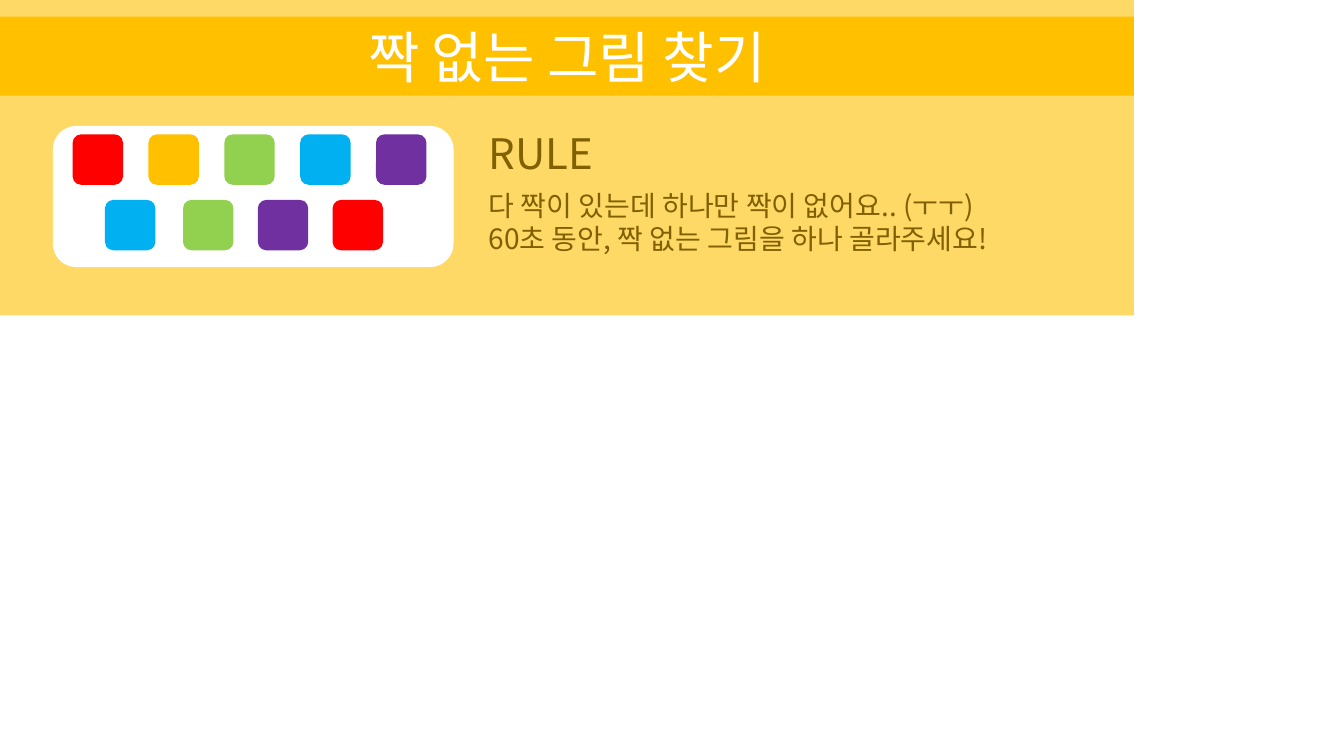
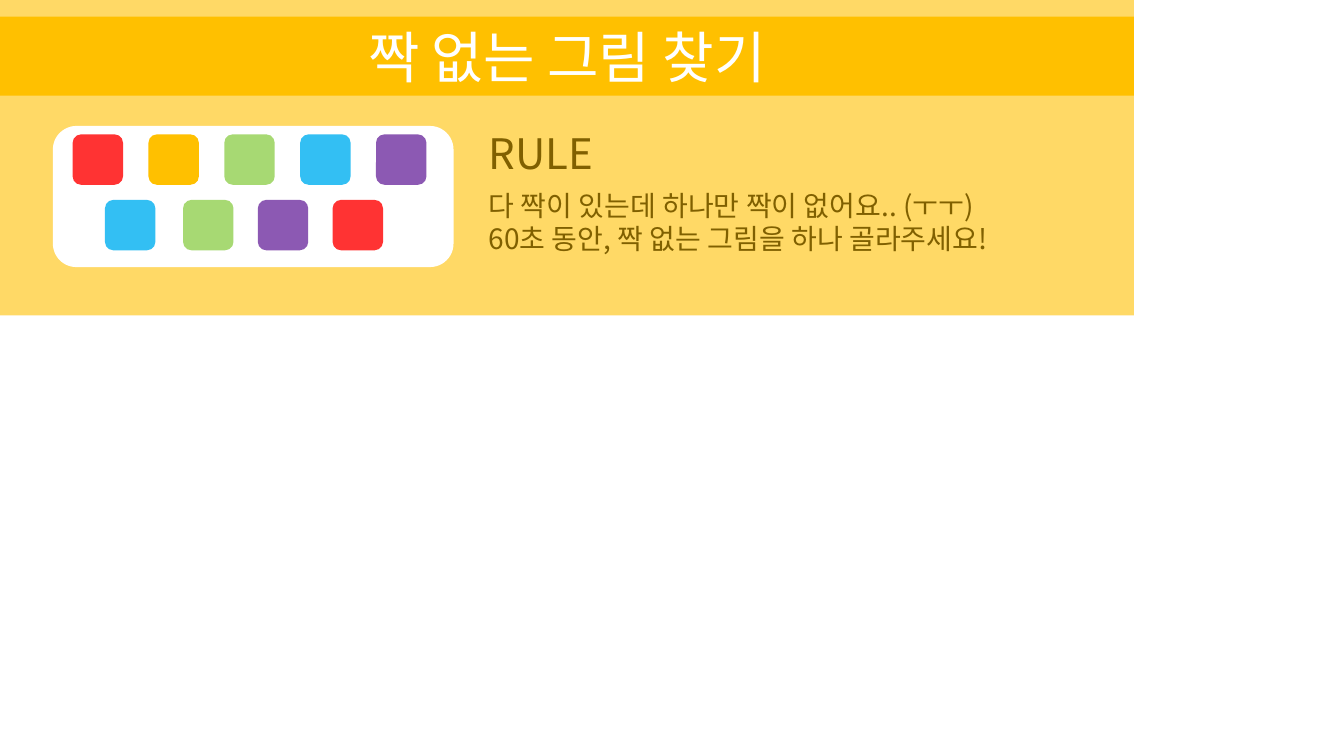
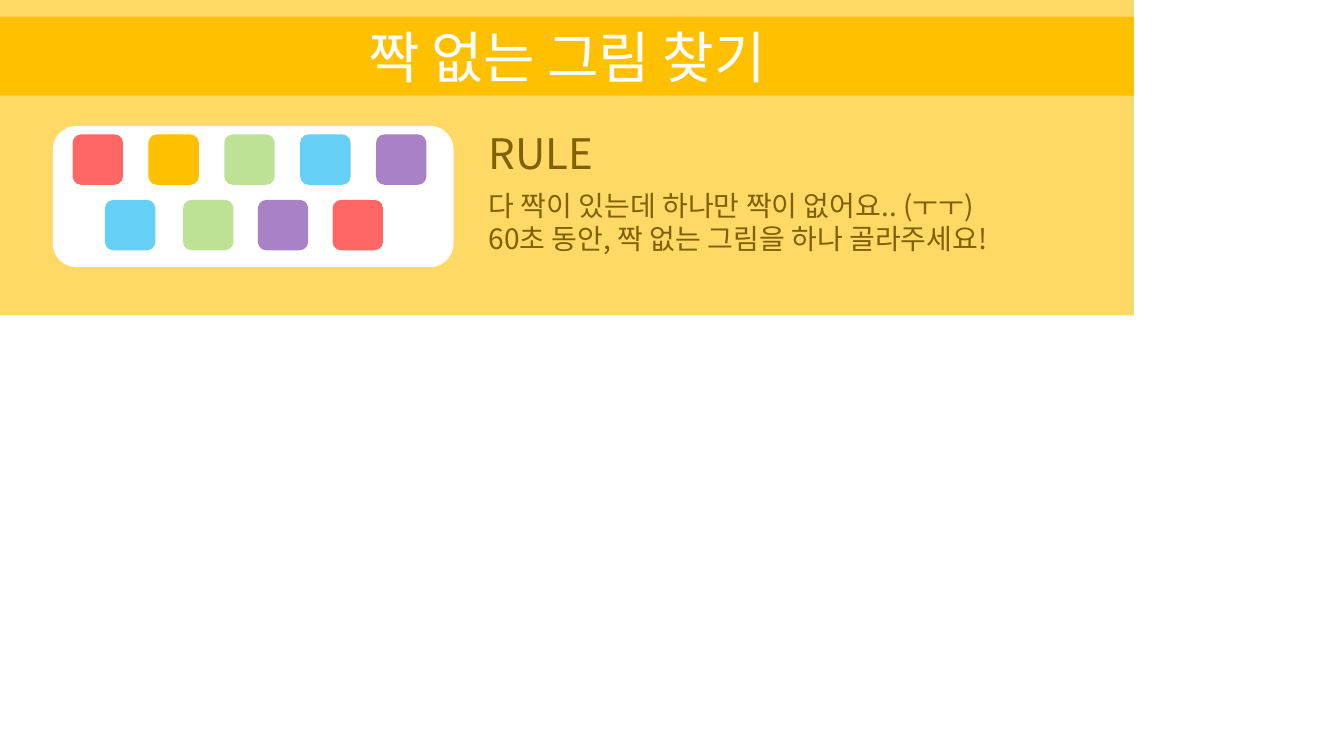
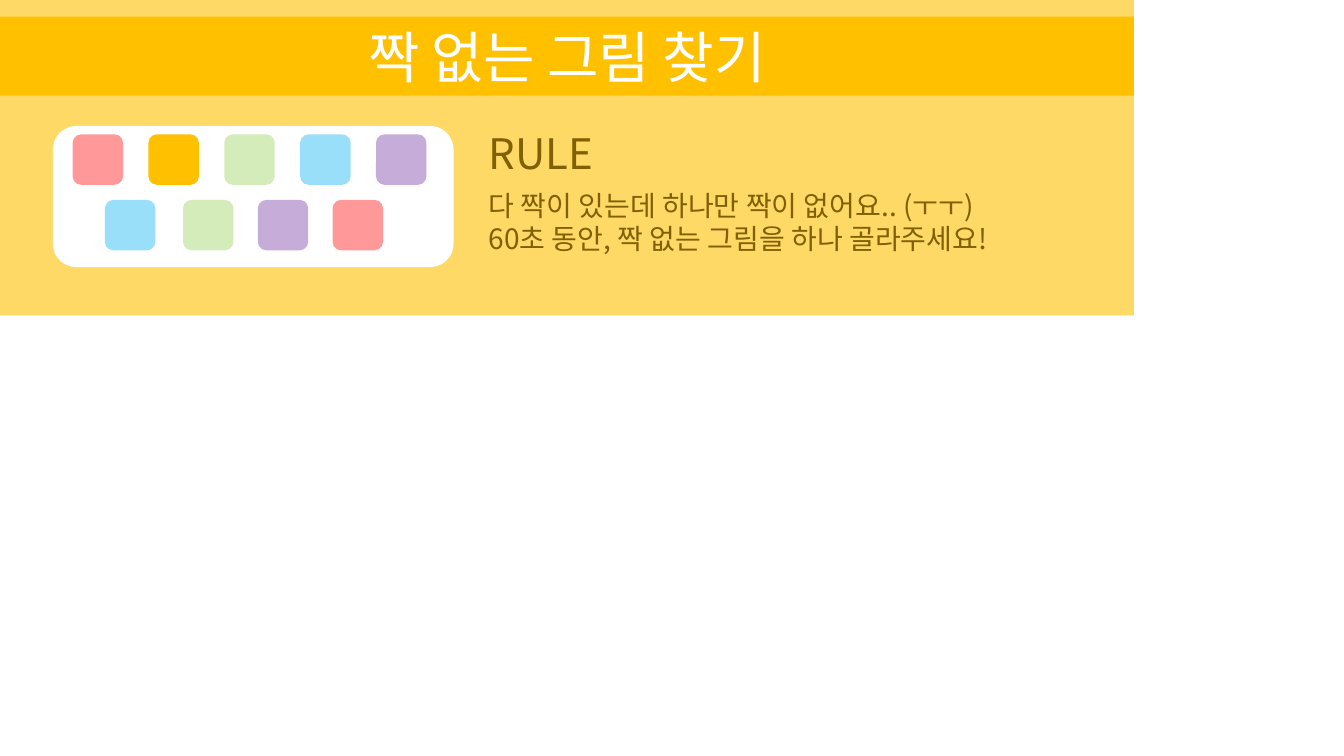
from lxml import etree
from pptx import Presentation
from pptx import util as u
from pptx.dml import color
from pptx.enum import shapes, text
from pptx.oxml import ns

COLS, ROWS = 160, 90
HUES = {
    "sand": "FFD966", "gold": "FFC000", "brown": "806000", "white": "FFFFFF",
    "red": "FF0000", "green": "92D050", "blue": "00B0F0", "plum": "7030A0",
}
FONT = "Noto Sans CJK KR"
RECT = shapes.MSO_SHAPE.RECTANGLE
ROUND = shapes.MSO_SHAPE.ROUNDED_RECTANGLE
MIDDLE = {"word_wrap": True, "vertical_anchor": text.MSO_ANCHOR.MIDDLE}
GROW = {"word_wrap": True, "auto_size": text.MSO_AUTO_SIZE.SHAPE_TO_FIT_TEXT}
TOP = ["red", "gold", "green", "blue", "plum"]
LOW = [("blue", 12.5), ("green", 21.8), ("plum", 30.7), ("red", 39.6)]
RULES = ["다 짝이 있는데 하나만 짝이 없어요.. (ㅜㅜ)",
         "60초 동안, 짝 없는 그림을 하나 골라주세요!"]


class Deck:
    """Holds the style and the current slide, and draws on its grid."""

    def __init__(self):
        self.show = Presentation()
        self.show.slide_width = u.Inches(13.333)
        self.show.slide_height = u.Inches(7.5)
        self.page = None

    def start(self):
        self.page = self.show.slides.add_slide(self.show.slide_layouts[6])

    def place(self, col, row, wide, high):
        x, y = self.show.slide_width / COLS, self.show.slide_height / ROWS
        return [round(n) for n in (col * x, row * y, wide * x, high * y)]

    def shape(self, kind, box, hue, alpha=100):
        item = self.page.shapes.add_shape(kind, *self.place(*box))
        item.shadow.inherit = False
        item.line.fill.background()
        item.fill.solid()
        item.fill.fore_color.rgb = color.RGBColor.from_string(HUES[hue])
        if alpha < 100:
            tint = item.element.spPr.find(".//" + ns.qn("a:srgbClr"))
            etree.SubElement(tint, ns.qn("a:alpha"), val=str(alpha * 1000))
        return item

    def words(self, item, lines, size, hue, align, frame):
        body = item.text_frame
        for key, value in frame.items():
            setattr(body, key, value)
        body.text = "\n".join(lines)
        for para in body.paragraphs:
            para.alignment = align
            for run in para.runs:
                run.font.color.rgb = color.RGBColor.from_string(HUES[hue])
                for key, value in {"size": u.Pt(size), "name": FONT}.items():
                    setattr(run.font, key, value)
                props = run._r.get_or_add_rPr()
                etree.SubElement(props, ns.qn("a:ea"), typeface=FONT)

    def label(self, box, lines, size):
        item = self.page.shapes.add_textbox(*self.place(*box))
        self.words(item, lines, size, "brown", text.PP_ALIGN.JUSTIFY, GROW)

    def title(self, line):
        band = self.shape(RECT, (0, 2, 135, 9.4), "gold")
        self.words(band, [line], 40, "white", text.PP_ALIGN.CENTER, MIDDLE)

    def tile(self, col, row, hue, alpha):
        solid = 100 if hue == "gold" else alpha
        self.shape(ROUND, (col, row, 6, 6), hue, solid)


deck = Deck()
for alpha in (100, 80, 60, 40):
    deck.start()
    deck.shape(RECT, (0, -0.1, 135, 37.65), "sand")
    deck.label((57, 14.6, 21, 7.3), ["RULE"], 30)
    deck.label((57, 21.8, 78, 9.2), RULES, 20)
    deck.title("짝 없는 그림 찾기")
    deck.shape(ROUND, (6.3, 15, 47.7, 16.8), "white")
    for i, hue in enumerate(TOP):
        deck.tile(8.65 + 9.03 * i, 16, hue, alpha)
    for hue, col in LOW:
        deck.tile(col, 23.8, hue, alpha)
deck.show.save("out.pptx")
